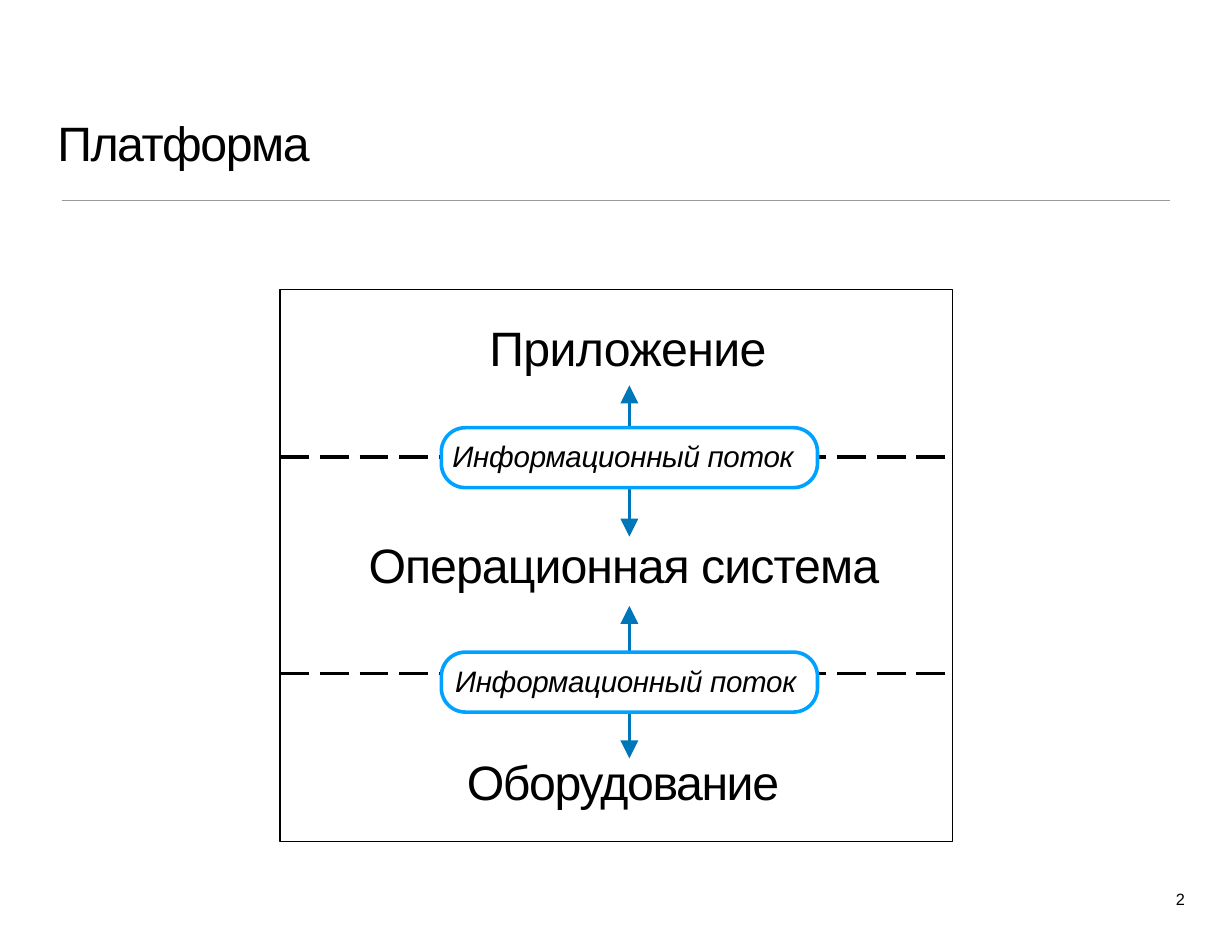
import pptx
import pptx.dml.color
import pptx.enum.dml
import pptx.enum.shapes
import pptx.enum.text
import pptx.oxml
import pptx.oxml.ns
import pptx.util

Cm = pptx.util.Cm
Pt = pptx.util.Pt
RGBColor = pptx.dml.color.RGBColor

BLACK = RGBColor(0x00, 0x00, 0x00)
WHITE = RGBColor(0xFF, 0xFF, 0xFF)
GREY = RGBColor(0x9A, 0x9A, 0x9A)
ARROW_BLUE = RGBColor(0x00, 0x76, 0xBA)
BOX_BLUE = RGBColor(0x00, 0xA2, 0xFF)

THIN = 0.77
THICK = 2.32


def write_text(shape, text, size=31, spacing=0.0, italic=False, before=0.9, inset=0.03):
    """Fill the shape with one left-aligned line; spacing is between letters, in points."""
    frame = shape.text_frame
    frame.word_wrap = True
    frame.auto_size = pptx.enum.text.MSO_AUTO_SIZE.NONE
    frame.vertical_anchor = pptx.enum.text.MSO_ANCHOR.TOP
    frame.margin_left = frame.margin_right = frame.margin_bottom = 0
    frame.margin_top = Cm(inset)
    paragraph = frame.paragraphs[0]
    paragraph.alignment = pptx.enum.text.PP_ALIGN.LEFT
    paragraph.space_before = Pt(before)
    run = paragraph.add_run()
    run.text = text
    run.font.name = "Arial"
    run.font.size = Pt(size)
    run.font.italic = italic
    run.font.color.rgb = BLACK
    run._r.get_or_add_rPr().set("spc", str(round(spacing * 100)))


class SlideBuilder:
    """Draws on the current slide; all lengths are in centimetres."""

    def __init__(self, presentation):
        self.slide = presentation.slides.add_slide(presentation.slide_layouts[5])
        self.shapes = self.slide.shapes

    def title(self, text, left, top, width, height, **style):
        title = self.shapes.title
        title.left, title.top = Cm(left), Cm(top)
        title.width, title.height = Cm(width), Cm(height)
        write_text(title, text, **style)

    def text(self, text, left, top, width, height, **style):
        box = self.shapes.add_textbox(Cm(left), Cm(top), Cm(width), Cm(height))
        write_text(box, text, **style)

    def line(self, x1, y1, x2, y2, color, weight, dashed=False, arrows=False):
        connector = self.shapes.add_connector(
            pptx.enum.shapes.MSO_CONNECTOR.STRAIGHT, Cm(x1), Cm(y1), Cm(x2), Cm(y2))
        connector.line.color.rgb = color
        connector.line.width = Pt(weight)
        if dashed:
            connector.line.dash_style = pptx.enum.dml.MSO_LINE.LONG_DASH
        if arrows:
            outline = connector.line._get_or_add_ln()
            for end in ("headEnd", "tailEnd"):
                outline.append(pptx.oxml.parse_xml(
                    f'<a:{end} {pptx.oxml.ns.nsdecls("a")} type="triangle" w="lg" len="lg"/>'))
        connector._element.spPr.append(
            pptx.oxml.parse_xml(f'<a:effectLst {pptx.oxml.ns.nsdecls("a")}/>'))

    def box(self, left, top, width, height, color, weight, fill=None, rounding=None):
        kinds = pptx.enum.shapes.MSO_SHAPE
        kind = kinds.RECTANGLE if rounding is None else kinds.ROUNDED_RECTANGLE
        shape = self.shapes.add_shape(kind, Cm(left), Cm(top), Cm(width), Cm(height))
        shape.shadow.inherit = False
        if rounding is not None:
            shape.adjustments[0] = rounding
        if fill is None:
            shape.fill.background()
        else:
            shape.fill.solid()
            shape.fill.fore_color.rgb = fill
        shape.line.color.rgb = color
        shape.line.width = Pt(weight)


def main():
    presentation = pptx.Presentation()
    presentation.slide_width = Cm(27.94)
    presentation.slide_height = Cm(21.59)
    builder = SlideBuilder(presentation)

    builder.title("Платформа", 1.3, 2.54, 13.3, 1.35, spacing=-0.9)
    builder.line(1.4, 4.55, 26.54, 4.55, GREY, THIN)
    builder.text("2", 26.67, 20.12, 0.4, 0.53, size=10.5, spacing=0.1, before=1.3, inset=0.05)

    frame_left, frame_top, frame_width, frame_height = 6.35, 6.56, 15.26, 12.52
    builder.box(frame_left, frame_top, frame_width, frame_height, BLACK, THIN)

    layers = [
        ("Приложение", 11.1, 7.19, 6.4, -0.4),
        ("Операционная система", 8.36, 12.12, 12.5, -0.6),
        ("Оборудование", 10.59, 17.04, 7.42, -0.9),
    ]
    for name, left, top, width, spacing in layers:
        builder.text(name, left, top, width, 1.35, spacing=spacing)

    # Boundary height, arrow ends, box top and label left of each flow
    flow_left, flow_width, flow_height = 10.01, 8.53, 1.36
    flow_center = flow_left + flow_width / 2
    flows = [
        (10.36, 8.74, 12.17, 9.7, 10.26),
        (15.27, 13.74, 17.2, 14.79, 10.32),
    ]
    for boundary, arrow_top, arrow_bottom, box_top, label_left in flows:
        builder.line(frame_left, boundary, frame_left + frame_width, boundary,
                     BLACK, THICK, dashed=True)
        builder.line(flow_center, arrow_top, flow_center, arrow_bottom,
                     ARROW_BLUE, THICK, arrows=True)
        builder.box(flow_left, box_top, flow_width, flow_height, BOX_BLUE, THICK,
                    fill=WHITE, rounding=0.4)
        builder.text("Информационный поток", label_left, box_top + 0.19, 7.95, 0.86,
                     size=19, spacing=-0.2, italic=True, before=1.3, inset=0.05)

    presentation.save("out.pptx")


if __name__ == "__main__":
    main()
